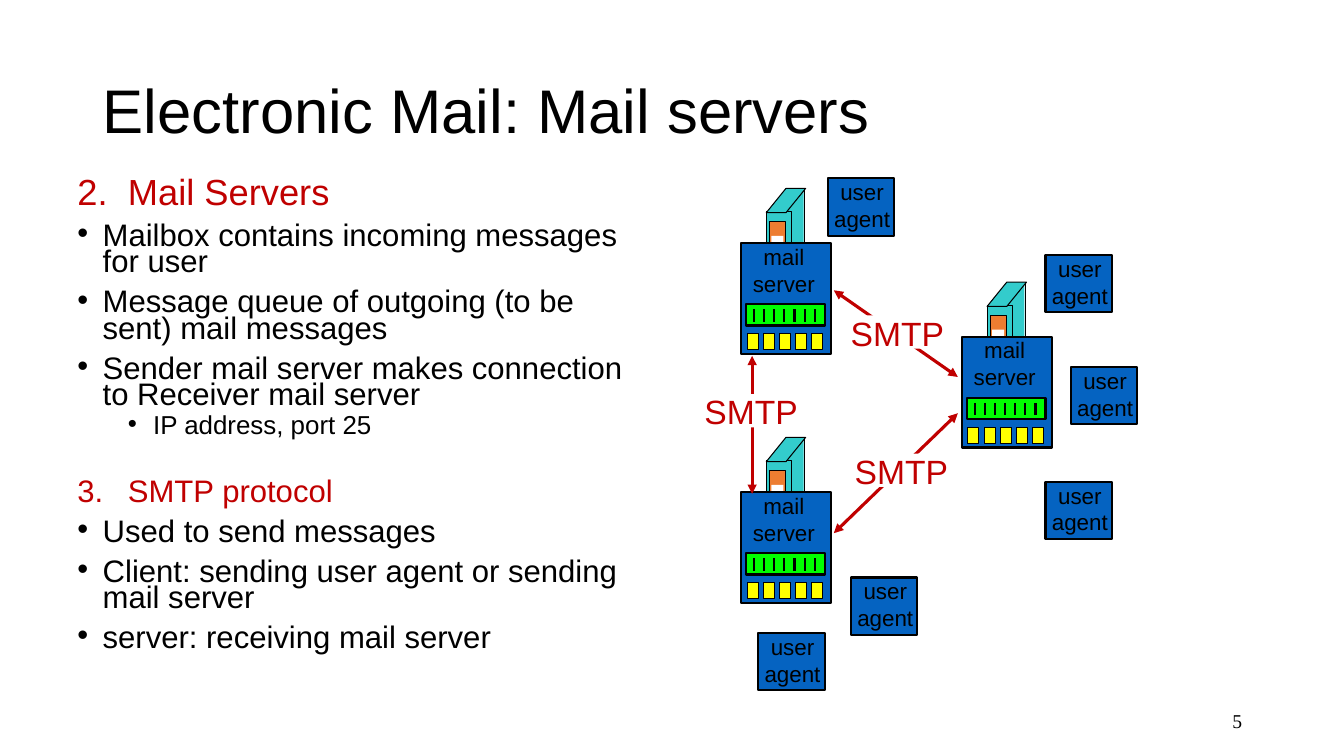
from pptx import Presentation
from pptx.dml.color import RGBColor
from pptx.enum.shapes import MSO_CONNECTOR, MSO_SHAPE
from pptx.enum.text import MSO_ANCHOR, PP_ALIGN
from pptx.oxml.ns import qn
from pptx.util import Inches, Pt
from lxml import etree

BLACK, WHITE, RED = "000000", "FFFFFF", "C00000"
BLUE, TEAL, ORANGE = "0563C1", "33CCCC", "ED7D31"
GREEN, YELLOW = "00FF00", "FFFF00"


def color(hex_string):
    return RGBColor.from_string(hex_string)


def add_run(paragraph, text, size, text_color=BLACK, font="Arial"):
    run = paragraph.add_run()
    run.text = text
    run.font.name = font
    run.font.size = Pt(size)
    run.font.color.rgb = color(text_color)


def add_box(shapes, left, top, width, height, fill, line_width=0, kind=MSO_SHAPE.RECTANGLE):
    shape = shapes.add_shape(kind, Inches(left), Inches(top), Inches(width), Inches(height))
    shape.shadow.inherit = False
    shape.fill.solid()
    shape.fill.fore_color.rgb = color(fill)
    if line_width:
        shape.line.color.rgb = color(BLACK)
        shape.line.width = Pt(line_width)
    else:
        shape.line.fill.background()
    return shape


def add_line(shapes, start, end, line_color, width, arrows=False):
    x1, y1, x2, y2 = (Inches(value) for value in (*start, *end))
    connector = shapes.add_connector(MSO_CONNECTOR.STRAIGHT, x1, y1, x2, y2)
    connector.line.color.rgb = color(line_color)
    connector.line.width = Pt(width)
    properties = connector.element.spPr
    etree.SubElement(properties, qn("a:effectLst"))
    if arrows:
        outline = properties.find(qn("a:ln"))
        for end_tag in ("a:headEnd", "a:tailEnd"):
            etree.SubElement(outline, qn(end_tag), type="triangle")


def add_label(shapes, left, top, width, height, lines, size, text_color=BLACK):
    label = shapes.add_textbox(Inches(left), Inches(top), Inches(width), Inches(height))
    frame = label.text_frame
    frame.word_wrap = False
    for index, text in enumerate(lines):
        paragraph = frame.add_paragraph() if index else frame.paragraphs[0]
        paragraph.alignment = PP_ALIGN.CENTER
        add_run(paragraph, text, size, text_color)


def add_title(slide, left, top, width, height):
    title = slide.shapes.title
    title.left, title.top = Inches(left), Inches(top)
    title.width, title.height = Inches(width), Inches(height)
    title.text_frame.vertical_anchor = MSO_ANCHOR.MIDDLE
    paragraph = title.text_frame.paragraphs[0]
    paragraph.alignment = PP_ALIGN.LEFT
    paragraph.line_spacing = 0.9
    add_run(paragraph, "Electronic Mail: Mail servers", 44)


def set_bullet(paragraph, margin, hanging, number=None):
    properties = paragraph._p.get_or_add_pPr()
    properties.set("marL", str(Inches(margin)))
    properties.set("indent", str(-Inches(hanging)))
    etree.SubElement(properties, qn("a:buFont"), typeface="Arial")
    if number:
        etree.SubElement(properties, qn("a:buAutoNum"), type="arabicPeriod", startAt=str(number))
    else:
        etree.SubElement(properties, qn("a:buChar"), char="•")


def add_body(slide, left, top, width, height):
    # text, size, color, space before, margin, hanging, number
    heading = (RED, 30, 0.5, 0.5)
    bullet = (22.2, BLACK, 10, 0.25, 0.25, None)
    items = [
        ("Mail Servers", 25.9, RED, 0, 0.5, 0.5, 2),
        ("Mailbox contains incoming messages for user", *bullet),
        ("Message queue of outgoing (to be sent) mail messages", *bullet),
        ("Sender mail server makes connection to Receiver mail server", *bullet),
        ("IP address, port 25", 18.5, BLACK, 5, 0.75, 0.25, None),
        ("SMTP protocol", 22.2, *heading, 3),
        ("Used to send messages", *bullet),
        ("Client: sending user agent or sending mail server", *bullet),
        ("server: receiving mail server", *bullet),
    ]
    body = slide.shapes.add_textbox(Inches(left), Inches(top), Inches(width), Inches(height))
    frame = body.text_frame
    frame.word_wrap = True
    for index, (text, size, text_color, before, margin, hanging, number) in enumerate(items):
        paragraph = frame.add_paragraph() if index else frame.paragraphs[0]
        set_bullet(paragraph, margin, hanging, number)
        paragraph.line_spacing = 0.7
        if before:
            paragraph.space_before = Pt(before)
        add_run(paragraph, text, size, text_color)


def add_mail_server(slide, left, top):
    shapes = slide.shapes.add_group_shape().shapes
    # Tower behind the server
    add_box(shapes, left + 0.44, top, 0.18, 0.78, TEAL)
    add_box(shapes, left + 0.25, top + 0.23, 0.25, 0.78, TEAL, 0.75)
    roof = add_box(shapes, left + 0.25, top, 0.39, 0.24, TEAL, 0.75, MSO_SHAPE.PARALLELOGRAM)
    roof.adjustments[0] = 0.81
    add_line(shapes, (left + 0.63, top + 0.01), (left + 0.63, top + 0.78), BLACK, 0.75)
    add_box(shapes, left + 0.28, top + 0.33, 0.16, 0.45, ORANGE, 0.75)
    add_box(shapes, left + 0.3, top + 0.47, 0.12, 0.16, WHITE)
    # Server front with its name
    add_box(shapes, left, top + 0.54, 0.89, 1.1, BLUE, 1.5)
    add_label(shapes, left + 0.01, top + 0.49, 0.83, 0.64, ["mail", "server"], 16)
    # Message queue
    add_box(shapes, left + 0.05, top + 1.15, 0.78, 0.21, GREEN, 1.5)
    for message in range(7):
        x = left + 0.13 + 0.1 * message
        add_line(shapes, (x, top + 1.2), (x, top + 1.32), BLACK, 1.5)
    # User mailboxes
    for mailbox in range(5):
        add_box(shapes, left + 0.06 + 0.16 * mailbox, top + 1.44, 0.11, 0.16, YELLOW, 0.75)


def add_user_agent(slide, left, top):
    shapes = slide.shapes.add_group_shape().shapes
    add_box(shapes, left, top, 0.66, 0.57, BLUE, 1.5)
    add_label(shapes, left - 0.05, top - 0.05, 0.78, 0.64, ["user", "agent"], 16)


def add_smtp_link(slide, start, end, label_left, label_top):
    add_line(slide.shapes, start, end, RED, 2.25, arrows=True)
    shapes = slide.shapes.add_group_shape().shapes
    add_box(shapes, label_left, label_top, 0.94, 0.33, WHITE)
    add_label(shapes, label_left - 0.1, label_top - 0.08, 1.14, 0.51, ["SMTP"], 24, RED)


def add_network(slide, left, top):
    for x, y in [(0.37, 0.1), (2.56, 1.03), (0.37, 2.57)]:
        add_mail_server(slide, left + x, top + y)
    agents = [(1.23, 0), (3.39, 0.76), (3.64, 1.87), (3.39, 3.01), (1.46, 3.96), (0.54, 4.51)]
    for x, y in agents:
        add_user_agent(slide, left + x, top + y)
    links = [
        ((1.29, 1.11), (2.52, 1.97), (1.45, 1.36)),
        ((1.29, 3.52), (2.52, 2.33), (1.49, 2.73)),
        ((0.48, 3.13), (0.48, 1.76), (0, 2.14)),
    ]
    for link in links:
        start, end, label = ((left + x, top + y) for x, y in link)
        add_smtp_link(slide, start, end, *label)


def add_page_number(slide, left, top, width, height):
    box = slide.shapes.add_textbox(Inches(left), Inches(top), Inches(width), Inches(height))
    box.text_frame.word_wrap = True
    box.text_frame.vertical_anchor = MSO_ANCHOR.MIDDLE
    paragraph = box.text_frame.paragraphs[0]
    paragraph.alignment = PP_ALIGN.RIGHT
    add_run(paragraph, "5", 14, font="Times New Roman")


def main():
    presentation = Presentation()
    presentation.slide_width = Inches(13.33)
    presentation.slide_height = Inches(7.5)
    slide = presentation.slides.add_slide(presentation.slide_layouts[5])
    add_title(slide, 0.92, 0.4, 11.5, 1.45)
    add_body(slide, 0.67, 1.75, 5.89, 5.08)
    add_network(slide, 6.98, 1.77)
    add_page_number(slide, 9.42, 6.95, 3, 0.4)
    presentation.save("out.pptx")


if __name__ == "__main__":
    main()
